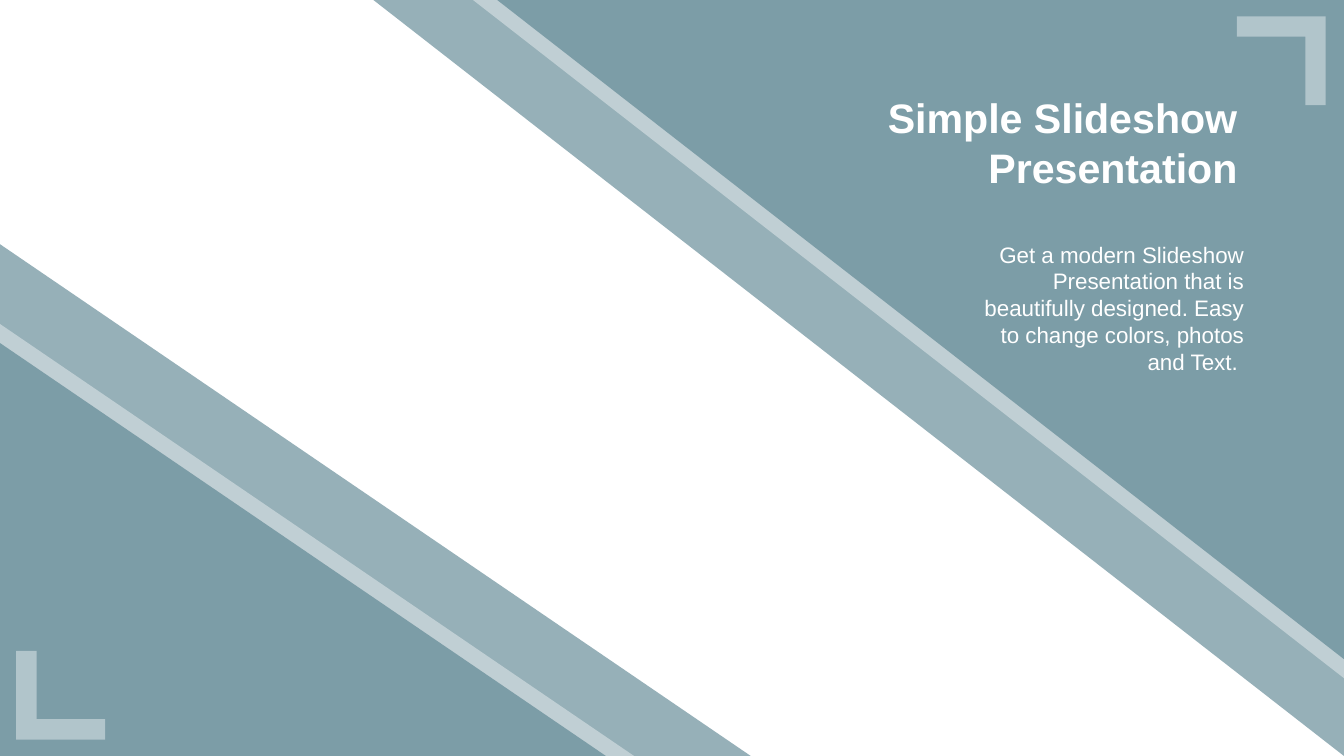
"""Build a title slide with two layered corner triangles and a right-aligned heading."""
from lxml import etree
from pptx import Presentation
from pptx import util as u
from pptx.dml import color
from pptx.enum import shapes, text
from pptx.oxml import ns

COLORS = {"teal": "507C89", "white": "FFFFFF"}
SLIDE_W, SLIDE_H = 33.87, 19.05
LOWER_LEFT = -0.05
MARGIN_X, MARGIN_Y, BRACKET = 0.41, 0.41, 2.24
RIGHT_MARGIN = 0.46

deck = Presentation()
deck.slide_width, deck.slide_height = u.Cm(SLIDE_W), u.Cm(SLIDE_H)
slide = deck.slides.add_slide(deck.slide_layouts[6])


def add_panel(preset, left, top, width, height, fill, opacity, rotation):
    panel = slide.shapes.add_shape(preset, u.Cm(left), u.Cm(top), u.Cm(width), u.Cm(height))
    panel.shadow.inherit = False
    panel.rotation = rotation
    panel.line.fill.background()
    panel.fill.solid()
    panel.fill.fore_color.rgb = color.RGBColor.from_string(COLORS[fill])
    tint = panel.fill._xPr.find(ns.qn("a:solidFill"))[0]
    etree.SubElement(tint, ns.qn("a:alpha")).set("val", str(opacity * 1000))
    return panel


def add_text(words, left, top, width, height, size, bold=False):
    box = slide.shapes.add_textbox(u.Cm(left), u.Cm(top), u.Cm(width), u.Cm(height))
    frame = box.text_frame
    frame.word_wrap = True
    frame.auto_size = text.MSO_AUTO_SIZE.SHAPE_TO_FIT_TEXT
    paragraph = frame.paragraphs[0]
    paragraph.alignment = text.PP_ALIGN.RIGHT
    run = paragraph.add_run()
    run.text = words
    run.font.name = "Arial"
    run.font.size = u.Pt(size)
    run.font.bold = bold
    run.font.color.rgb = color.RGBColor.from_string(COLORS["white"])


layers = [("teal", 60), ("white", 40), ("teal", 60)]
upper_sizes = [(24.46, 19.05), (21.95, 17.09), (21.34, 16.61)]
lower_sizes = [(18.97, 12.93), (16.03, 10.92), (15.32, 10.44)]
triangle = shapes.MSO_SHAPE.RIGHT_TRIANGLE

for (fill, opacity), (width, height) in zip(layers, upper_sizes):
    add_panel(triangle, SLIDE_W - width, 0, width, height, fill, opacity, 180)
for (fill, opacity), (width, height) in zip(layers, lower_sizes):
    add_panel(triangle, LOWER_LEFT, SLIDE_H - height, width, height, fill, opacity, 0)

bracket_places = [
    (SLIDE_W - RIGHT_MARGIN - BRACKET, MARGIN_Y, 180),
    (MARGIN_X, SLIDE_H - MARGIN_Y - BRACKET, 0),
]
for left, top, rotation in bracket_places:
    bracket = add_panel(shapes.MSO_SHAPE.CORNER, left, top, BRACKET, BRACKET, "white", 41, rotation)
    for arm in range(2):
        bracket.adjustments[arm] = 0.23

add_text("Simple Slideshow Presentation", 21.13, 2.21, 10.31, 2.77, size=29.4, bold=True)
add_text(
    "Get a modern Slideshow Presentation that is beautifully designed. "
    "Easy to change colors, photos and Text. ",
    24.54, 5.94, 7.06, 3.68, size=16,
)

deck.save("out.pptx")
